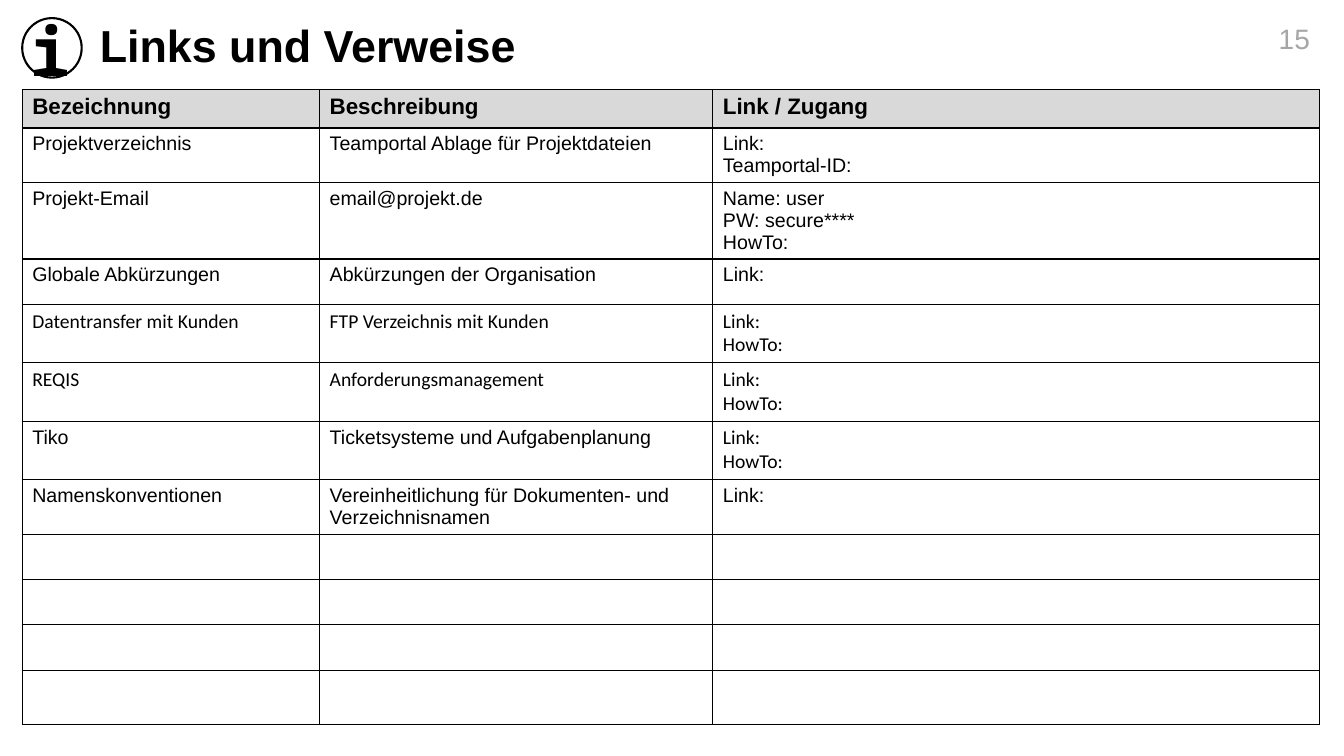
import pptx
import pptx.util
import pptx.dml.color
import pptx.enum.shapes
import pptx.enum.text
import pptx.oxml
from dataclasses import dataclass
from lxml import etree

Inches = pptx.util.Inches
Pt = pptx.util.Pt
ALIGN = pptx.enum.text.PP_ALIGN
MIDDLE = pptx.enum.text.MSO_ANCHOR.MIDDLE
A = "http://schemas.openxmlformats.org/drawingml/2006/main"


@dataclass(frozen=True)
class Theme:
    """Colours, fonts and type sizes of the slide."""
    ink: str = "000000"
    muted: str = "A6A6A6"
    header_fill: str = "D9D9D9"
    font: str = "Arial"
    alternate_font: str = "Calibri"
    icon_font: str = "Noto Sans Mono"
    title_size: int = 32
    icon_size: int = 48
    number_size: int = 20
    header_size: int = 16
    body_size: int = 14
    border: float = 1
    icon_line: float = 1.5


THEME = Theme()
ARIAL, CALIBRI = THEME.font, THEME.alternate_font

COLUMN_WIDTHS = [2.95, 3.9, 6.02]
HEADINGS = ["Bezeichnung", "Beschreibung", "Link / Zugang"]
# Row height, then text and font for each column; "\n" separates paragraphs.
ENTRIES = [
    (0.54, ("Projektverzeichnis", ARIAL), ("Teamportal Ablage für Projektdateien", ARIAL),
     ("Link:\nTeamportal-ID:", ARIAL)),
    (0.76, ("Projekt-Email", ARIAL), ("email@projekt.de", ARIAL),
     ("Name: user\nPW: secure****\nHowTo:", ARIAL)),
    (0.45, ("Globale Abkürzungen", ARIAL), ("Abkürzungen der Organisation", ARIAL),
     ("Link:", ARIAL)),
    (0.58, ("Datentransfer mit Kunden", CALIBRI), ("FTP Verzeichnis mit Kunden", CALIBRI),
     ("Link:\nHowTo:", CALIBRI)),
    (0.58, ("REQIS", CALIBRI), ("Anforderungsmanagement", CALIBRI),
     ("Link:\nHowTo:", CALIBRI)),
    (0.58, ("Tiko", ARIAL), ("Ticketsysteme und Aufgabenplanung", ARIAL),
     ("Link:\nHowTo:", CALIBRI)),
    (0.54, ("Namenskonventionen", ARIAL),
     ("Vereinheitlichung für Dokumenten- und Verzeichnisnamen", ARIAL), ("Link:", ARIAL)),
]
HEADER_HEIGHT = 0.38
BLANK_HEIGHTS = [0.45, 0.45, 0.45, 0.54]


def rgb(colour):
    """Turn a hex string into a colour."""
    return pptx.dml.color.RGBColor.from_string(colour)


def write(frame, text, size, font=THEME.font, colour=THEME.ink, bold=False, align=None):
    """Fill a text frame with one run per paragraph."""
    for index, line in enumerate(text.split("\n")):
        paragraph = frame.add_paragraph() if index else frame.paragraphs[0]
        paragraph.alignment = align
        run = paragraph.add_run()
        run.text = line
        run.font.size = Pt(size)
        run.font.name = font
        run.font.bold = bold
        run.font.color.rgb = rgb(colour)


def border_cell(cell):
    """Draw all four borders of a table cell."""
    properties = cell._tc.get_or_add_tcPr()
    for position, side in enumerate(("lnL", "lnR", "lnT", "lnB")):
        border = pptx.oxml.parse_xml(
            f'<a:{side} xmlns:a="{A}" w="{Pt(THEME.border)}"><a:solidFill>'
            f'<a:srgbClr val="{THEME.ink}"/></a:solidFill></a:{side}>')
        properties.insert(position, border)


def place_title(slide, left, top, width, height):
    """Move and format the title placeholder."""
    title = slide.shapes.title
    title.left, title.top = Inches(left), Inches(top)
    title.width, title.height = Inches(width), Inches(height)
    frame = title.text_frame
    frame.vertical_anchor = MIDDLE
    write(frame, "Links und Verweise", THEME.title_size, bold=True, align=ALIGN.LEFT)
    frame.paragraphs[0].line_spacing = 0.9


def place_info_icon(slide, left, top, size):
    """Draw the circled letter i."""
    icon = slide.shapes.add_shape(
        pptx.enum.shapes.MSO_SHAPE.OVAL,
        Inches(left), Inches(top), Inches(size), Inches(size))
    icon.shadow.inherit = False
    icon.fill.background()
    icon.line.color.rgb = rgb(THEME.ink)
    icon.line.width = Pt(THEME.icon_line)
    frame = icon.text_frame
    frame.vertical_anchor = MIDDLE
    frame.margin_left = frame.margin_bottom = 0
    frame.margin_top, frame.margin_right = Inches(0.04), Inches(0.12)
    write(frame, "i", THEME.icon_size, THEME.icon_font, bold=True, align=ALIGN.CENTER)


def place_page_number(slide, left, top, width, height):
    """Write the page number, flush right."""
    number = slide.shapes.add_textbox(
        Inches(left), Inches(top), Inches(width), Inches(height))
    frame = number.text_frame
    frame.word_wrap = True
    frame.vertical_anchor = MIDDLE
    write(frame, "15", THEME.number_size, colour=THEME.muted, align=ALIGN.RIGHT)


def place_link_table(slide, left, top):
    """Build the bordered table of links, with blank rows at its end."""
    heights = [HEADER_HEIGHT] + [entry[0] for entry in ENTRIES] + BLANK_HEIGHTS
    links = slide.shapes.add_table(
        len(heights), len(COLUMN_WIDTHS), Inches(left), Inches(top),
        Inches(sum(COLUMN_WIDTHS)), Inches(sum(heights))).table
    links.first_row = links.horz_banding = False
    for column, width in zip(links.columns, COLUMN_WIDTHS):
        column.width = Inches(width)
    for row, height in zip(links.rows, heights):
        row.height = Inches(height)
    for cell in links.iter_cells():
        cell.fill.background()
        border_cell(cell)
    for cell, heading in zip(links.rows[0].cells, HEADINGS):
        cell.fill.solid()
        cell.fill.fore_color.rgb = rgb(THEME.header_fill)
        write(cell.text_frame, heading, THEME.header_size, bold=True)
    for row_index, (_, *contents) in enumerate(ENTRIES, start=1):
        for cell, (text, font) in zip(links.rows[row_index].cells, contents):
            write(cell.text_frame, text, THEME.body_size, font)


def build_links_slide(deck):
    """Add the slide of links and references."""
    slide = deck.slides.add_slide(deck.slide_layouts.get_by_name("Title Only"))
    margin, header_top, header_height = 0.22, 0.18, 0.59
    place_title(slide, 0.89, header_top, 11.22, header_height)
    place_info_icon(slide, margin, header_top, header_height)
    place_link_table(slide, margin, 0.89)
    place_page_number(slide, 12.11, header_top, 0.98, 0.4)


presentation = pptx.Presentation()
presentation.slide_width, presentation.slide_height = Inches(13.33), Inches(7.5)
build_links_slide(presentation)
presentation.save("out.pptx")
